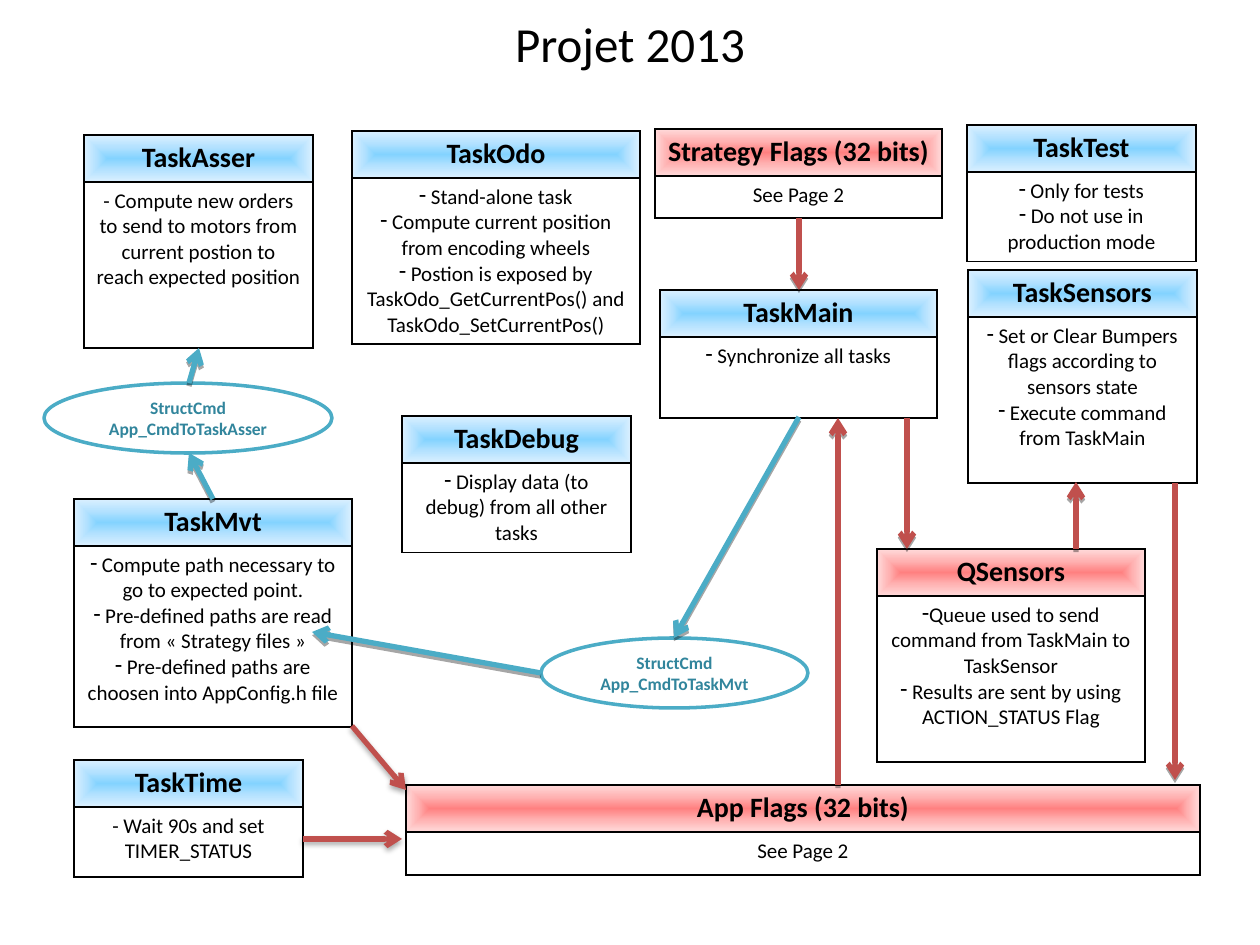
from pptx import Presentation
from pptx.dml.color import RGBColor
from pptx.enum.shapes import MSO_CONNECTOR, MSO_SHAPE
from pptx.enum.text import MSO_ANCHOR, PP_ALIGN
from pptx.oxml import parse_xml
from pptx.oxml.ns import nsdecls
from pptx.util import Emu, Pt

STRAIGHT, OVAL = MSO_CONNECTOR.STRAIGHT, MSO_SHAPE.OVAL
MIDDLE, CENTER = MSO_ANCHOR.MIDDLE, PP_ALIGN.CENTER

THEME = {
    "font": "Calibri", "black": "000000", "white": "FFFFFF",
    "teal": "4BACC6", "deep": "31859C", "brick": "C0504D",
    "blue": ("83D3FF", "B5E2FF", "DBF0FF"),
    "red": ("FF8080", "FFB3B3", "FFDADA"),
    "title": 28, "head": 16, "body": 12, "label": 10,
}
SCALE = 914400 // 126
HEAD = 47

# Content: name, head colour, box in pixels, bulleted, lines
TITLE = "Projet 2013"
TASKS = [
    ("TaskMain", "blue", (660, 290, 277, 128), True, [" Synchronize all tasks"]),
    ("TaskSensors", "blue", (968, 270, 229, 213), True,
     [" Set or Clear Bumpers flags according to sensors state",
      " Execute command from TaskMain"]),
    ("TaskAsser", "blue", (84, 135, 229, 213), False,
     ["- Compute new orders to send to motors from current postion "
      "to reach expected position"]),
    ("TaskMvt", "blue", (74, 499, 278, 228), True,
     [" Compute path necessary to go to expected point.",
      " Pre-defined paths are read from «\u00a0Strategy files\u00a0»",
      " Pre-defined paths are choosen into AppConfig.h file "]),
    ("TaskTime", "blue", (74, 760, 229, 117), False,
     ["- Wait 90s and set TIMER_STATUS"]),
    ("TaskOdo", "blue", (352, 131, 288, 213), True,
     [" Stand-alone task",
      " Compute current position from encoding wheels",
      " Postion is exposed by TaskOdo_GetCurrentPos() and TaskOdo_SetCurrentPos()"]),
    ("Strategy Flags (32 bits)", "red", (655, 129, 287, 89), False, ["See Page 2"]),
    ("App Flags (32 bits)", "red", (406, 785, 794, 90), False, ["See Page 2"]),
    ("QSensors", "red", (877, 549, 268, 213), True,
     ["Queue used to send command from TaskMain to TaskSensor",
      " Results are sent by using ACTION_STATUS Flag"]),
    ("TaskTest", "blue", (967, 125, 229, 136), True,
     [" Only for tests", " Do not use in production mode"]),
    ("TaskDebug", "blue", (402, 416, 229, 136), True,
     [" Display data (to debug) from all other tasks"]),
]
STRUCTS = [
    ("StructCmd App_CmdToTaskAsser", (44, 383, 288, 70)),
    ("StructCmd App_CmdToTaskMvt", (541, 638, 267, 70)),
]
# Links: colour, start and end in pixels, shadow blur in EMU
LINKS = [
    ("brick", (303, 839, 402, 839), 40000),
    ("brick", (352, 726, 406, 790), 40000),
    ("brick", (838, 785, 838, 418), 0),
    ("brick", (907, 418, 907, 549), 0),
    ("brick", (1076, 549, 1076, 482), 0),
    ("brick", (1175, 483, 1175, 780), 0),
    ("brick", (799, 218, 799, 290), 0),
    ("teal", (189, 383, 199, 348), 0),
    ("teal", (213, 499, 189, 453), 0),
    ("teal", (541, 673, 312, 632), 0),
    ("teal", (799, 417, 674, 638), 0),
]


def px(*vals):
    return [Emu(v * SCALE) for v in vals]


def rgb(key):
    return RGBColor.from_string(THEME[key])


def node(xml):
    tag, rest = xml.split(" ", 1)
    return parse_xml(f"{tag} {nsdecls('a')} {rest}")


def write(frame, lines, size, color="black", bold=False, bullet=False):
    look = {"name": THEME["font"], "size": Pt(THEME[size]), "bold": bold}
    frame.word_wrap = True
    for i, line in enumerate(lines):
        para = frame.paragraphs[0] if i == 0 else frame.add_paragraph()
        para.alignment = CENTER
        run = para.add_run()
        run.text = line
        for key, val in look.items():
            setattr(run.font, key, val)
        run.font.color.rgb = rgb(color)
        if bullet:
            props = para._p.get_or_add_pPr()
            props.set("marL", "0")
            props.set("indent", "0")
            props.append(node('<a:buChar char="-"/>'))


def border(cell):
    props = cell._tc.get_or_add_tcPr()
    for side in "LRTB":
        props.append(node(
            f'<a:ln{side} w="12700"><a:solidFill><a:srgbClr val="{THEME["black"]}"/>'
            f'</a:solidFill></a:ln{side}>'))
    return props


def glow(props, tint):
    stops = "".join(f'<a:gs pos="{i * 50000}"><a:srgbClr val="{c}"/></a:gs>'
                    for i, c in enumerate(THEME[tint]))
    props.append(node(
        f'<a:gradFill rotWithShape="1"><a:gsLst>{stops}</a:gsLst><a:path path="rect">'
        '<a:fillToRect l="50000" t="50000" r="50000" b="50000"/></a:path></a:gradFill>'))


def add_task(slide, name, tint, box, bullet, lines):
    table = slide.shapes.add_table(2, 1, *px(*box)).table
    table.first_row = table.horz_banding = False
    for row, high in zip(table.rows, px(HEAD, box[3] - HEAD)):
        row.height = high
    head, body = table.cell(0, 0), table.cell(1, 0)
    glow(border(head), tint)
    border(body)
    body.fill.background()
    write(head.text_frame, [name], "head", bold=True)
    write(body.text_frame, lines, "body", bullet=bullet)


def add_struct(slide, name, box):
    oval = slide.shapes.add_shape(OVAL, *px(*box))
    oval.shadow.inherit = False
    oval.fill.solid()
    oval.fill.fore_color.rgb = rgb("white")
    oval.line.color.rgb = rgb("teal")
    oval.line.width = Pt(2)
    oval.text_frame.vertical_anchor = MIDDLE
    write(oval.text_frame, [name], "label", "deep", True)


def add_link(slide, color, ends, blur):
    link = slide.shapes.add_connector(STRAIGHT, *px(*ends))
    link.line.color.rgb = rgb(color)
    link.line.width = Pt(3)
    link.line._get_or_add_ln().append(node('<a:tailEnd type="arrow"/>'))
    link._element.spPr.append(node(
        f'<a:effectLst ><a:outerShdw blurRad="{blur}" dist="23000" dir="5400000" '
        f'rotWithShape="0"><a:srgbClr val="{THEME["black"]}"><a:alpha val="35000"/>'
        '</a:srgbClr></a:outerShdw></a:effectLst>'))


# Slide and title
deck = Presentation()
deck.slide_width, deck.slide_height = px(1260, 945)
slide = deck.slides.add_slide(deck.slide_layouts[5])
title = slide.shapes.title
title.left, title.top, title.width, title.height = px(0, 0, 1260, 86)
title.text_frame.vertical_anchor = MIDDLE
write(title.text_frame, [TITLE], "title")

# Diagram
for task in TASKS:
    add_task(slide, *task)
for struct in STRUCTS:
    add_struct(slide, *struct)
for link in LINKS:
    add_link(slide, *link)

deck.save("out.pptx")
